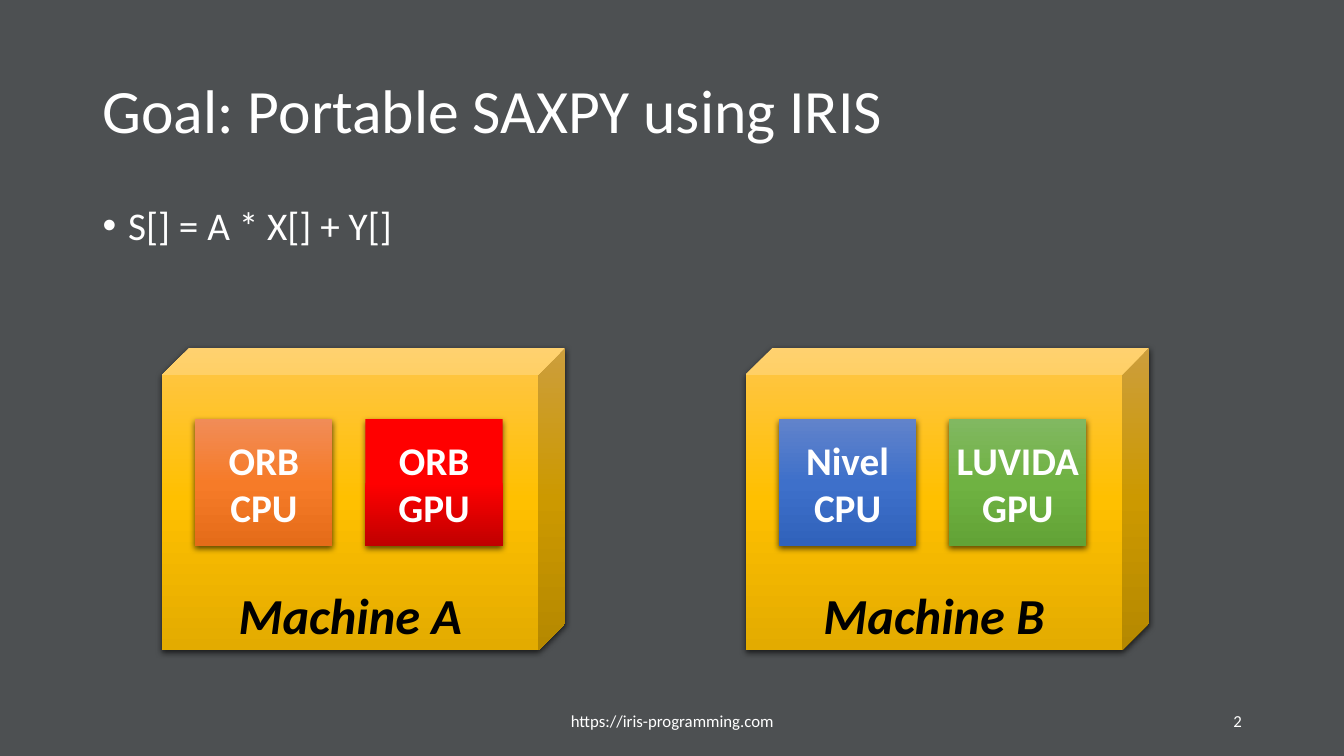
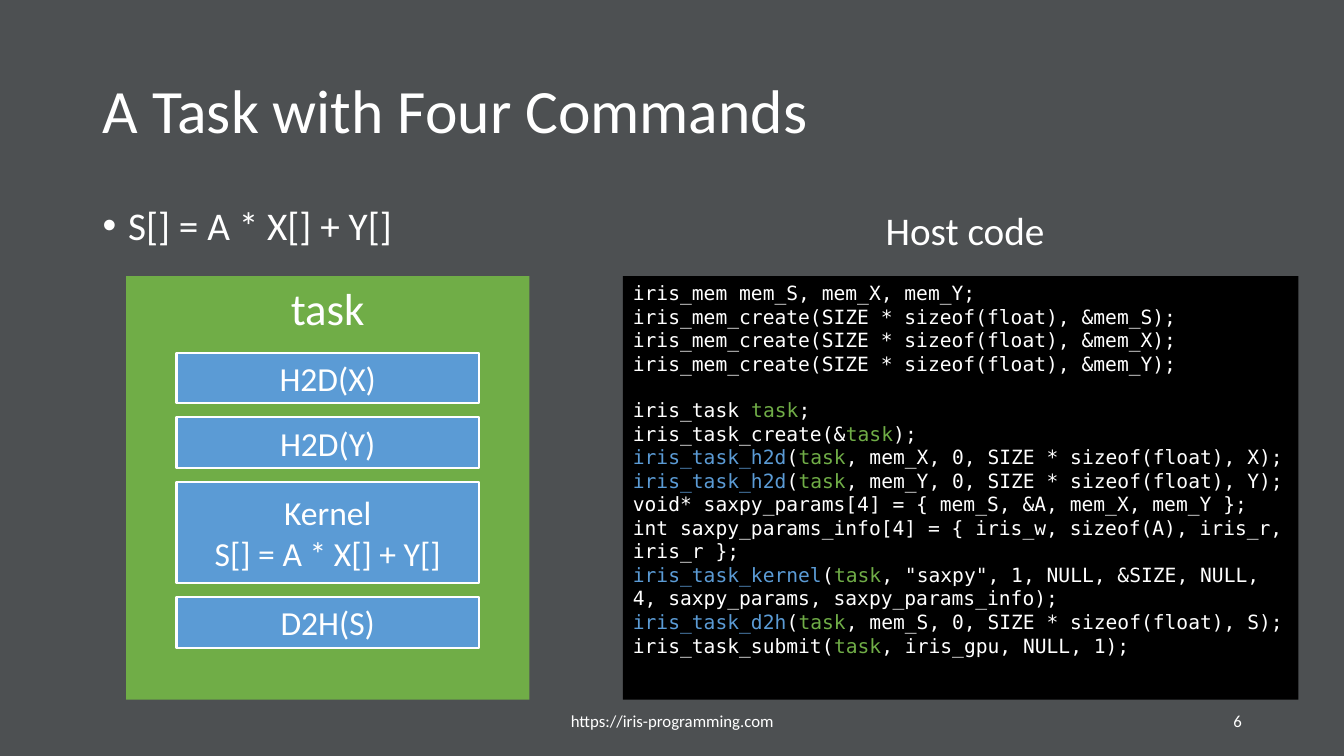
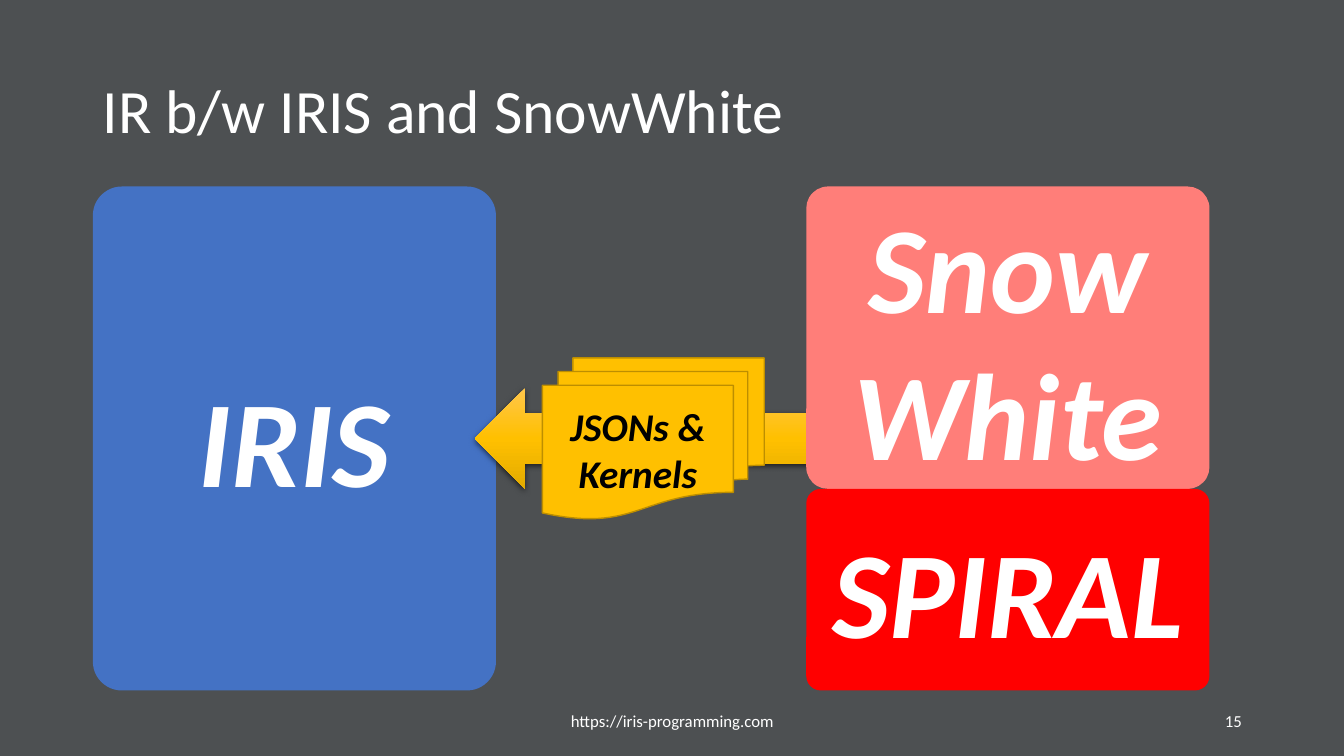
from copy import deepcopy

from lxml import etree
from pptx import Presentation
from pptx import util as u
from pptx.dml.color import RGBColor
from pptx.enum import shapes, text
from pptx.oxml import ns

Cm, Pt = u.Cm, u.Pt
MSO, ALIGN, ANCHOR = shapes.MSO_SHAPE, text.PP_ALIGN, text.MSO_ANCHOR

SLATE = RGBColor(0x4D, 0x50, 0x52)
WHITE = RGBColor(0xFF, 0xFF, 0xFF)
BLACK = RGBColor(0x00, 0x00, 0x00)
GREEN = RGBColor(0x70, 0xAD, 0x47)
SKY = RGBColor(0x5B, 0x9B, 0xD5)
BLUE = RGBColor(0x44, 0x72, 0xC4)
SALMON = RGBColor(0xFF, 0x7E, 0x79)
RED = RGBColor(0xFF, 0x00, 0x00)
GOLD = RGBColor(0xFF, 0xC0, 0x00)
DARK_GOLD = RGBColor(0xBD, 0x8E, 0x00)
GOLD_FADE = (RGBColor(0xFF, 0xC6, 0x4B), GOLD, RGBColor(0xE3, 0xAB, 0x00))
ORANGE_FADE = (RGBColor(0xF1, 0x8C, 0x57), RGBColor(0xF6, 0x7B, 0x28), RGBColor(0xE5, 0x6C, 0x19))
RED_FADE = (RED, RED, RGBColor(0xC0, 0x00, 0x00))
BLUE_FADE = (RGBColor(0x61, 0x83, 0xCB), RGBColor(0x3E, 0x70, 0xCA), RGBColor(0x30, 0x62, 0xBB))
GREEN_FADE = (RGBColor(0x81, 0xB8, 0x61), RGBColor(0x6F, 0xB2, 0x42), RGBColor(0x62, 0xA3, 0x36))

SANS, MONO = "Calibri", "DejaVu Sans Mono"
FOOTER = "https://iris-programming.com"
FORMULA = "S[] = A * X[] + Y[]"

MACHINES = [
    ("Machine A", 4.09, [("ORB\nCPU", ORANGE_FADE), ("ORB\nGPU", RED_FADE)]),
    ("Machine B", 18.8, [("Nivel\nCPU", BLUE_FADE), ("LUVIDA\nGPU", GREEN_FADE)]),
]

COMMANDS = [("H2D(X)", 1.27), ("H2D(Y)", 1.27), ("Kernel\n" + FORMULA, 2.54), ("D2H(S)", 1.27)]

CODE = [
    [
        "iris_mem mem_S, mem_X, mem_Y;",
        "iris_mem_create(SIZE * sizeof(float), &mem_S);",
        "iris_mem_create(SIZE * sizeof(float), &mem_X);",
        "iris_mem_create(SIZE * sizeof(float), &mem_Y);",
    ],
    [
        "iris_task |task|;",
        "iris_task_create(&|task|);",
        "iris_task_h2d|(|task|, mem_X, 0, SIZE * sizeof(float), X);",
        "iris_task_h2d|(|task|, mem_Y, 0, SIZE * sizeof(float), Y);",
        "void* saxpy_params[4] = { mem_S, &A, mem_X, mem_Y };",
        "int saxpy_params_info[4] = { iris_w, sizeof(A), iris_r, iris_r };",
        'iris_task_kernel|(|task|, "saxpy", 1, NULL, &SIZE, NULL, 4, saxpy_params, saxpy_params_info);',
        "iris_task_d2h|(|task|, mem_S, 0, SIZE * sizeof(float), S);",
        "iris_task_submit(|task|, iris_gpu, NULL, 1);",
    ],
]
CODE_COLORS = {"task": GREEN, "iris_task_h2d": SKY, "iris_task_kernel": SKY, "iris_task_d2h": SKY}

BLOCKS = [("Snow\nWhite", 4.7, 7.62, SALMON), ("SPIRAL", 12.32, 5.08, RED)]


def style(r, size, color=WHITE, bold=False, italic=False, font=SANS):
    r.font.name, r.font.size, r.font.color.rgb = font, Pt(size), color
    r.font.bold, r.font.italic = bold, italic


def write(sp, words, size, color=WHITE, bold=False, italic=False,
          align=ALIGN.CENTER, anchor=ANCHOR.MIDDLE):
    tf = sp.text_frame
    tf.word_wrap, tf.vertical_anchor = True, anchor
    tf.text = words
    for p in tf.paragraphs:
        p.alignment = align
        for r in p.runs:
            style(r, size, color, bold, italic)
    return tf


def add_label(s, box, words, size, **look):
    return write(s.shapes.add_textbox(*map(Cm, box)), words, size, **look)


def add_block(s, kind, box, fill, line=None, width=1):
    sp = s.shapes.add_shape(kind, *map(Cm, box))
    sp.shadow.inherit = False
    sp.fill.solid()
    sp.fill.fore_color.rgb = fill
    if line is None:
        sp.line.fill.background()
    else:
        sp.line.color.rgb, sp.line.width = line, Pt(width)
    return sp


def add_raised(s, kind, box, fade):
    sp = add_block(s, kind, box, fade[1])
    sp.fill.gradient()
    sp.fill.gradient_angle = 270
    stops = sp._element.spPr.find(".//" + ns.qn("a:gsLst"))
    stops.append(deepcopy(stops[-1]))
    for stop, position, color in zip(sp.fill.gradient_stops, (0, 0.5, 1), fade):
        stop.position, stop.color.rgb = position, color
    effects = sp._element.spPr.find(ns.qn("a:effectLst"))
    shadow = etree.SubElement(effects, ns.qn("a:outerShdw"), blurRad=str(Pt(4.5)),
                              dist=str(Pt(1.5)), dir="5400000", algn="ctr", rotWithShape="0")
    black = etree.SubElement(shadow, ns.qn("a:srgbClr"), val="000000")
    etree.SubElement(black, ns.qn("a:alpha"), val="63000")
    return sp


def add_slide(title, number):
    s = prs.slides.add_slide(prs.slide_layouts[6])
    s.background.fill.solid()
    s.background.fill.fore_color.rgb = SLATE
    tf = add_label(s, (2.34, 1.02, 29.21, 3.68), title, 44, align=ALIGN.LEFT)
    tf.paragraphs[0].line_spacing = 0.9
    add_label(s, (11.23, 17.65, 11.43, 1.02), FOOTER, 12)
    add_label(s, (23.93, 17.65, 7.62, 1.02), str(number), 12, align=ALIGN.RIGHT)
    return s


def add_bullet(s, words):
    tf = add_label(s, (2.34, 5.08, 29.21, 12.09), words, 28, align=ALIGN.LEFT, anchor=ANCHOR.TOP)
    p = tf.paragraphs[0]
    p.line_spacing, p.space_before = 0.9, Pt(10)
    pPr = p._p.get_or_add_pPr()
    pPr.set("marL", str(Cm(0.64)))
    pPr.set("indent", str(-Cm(0.64)))
    etree.SubElement(pPr, ns.qn("a:buFont"), typeface="Arial")
    etree.SubElement(pPr, ns.qn("a:buChar"), char="•")


def add_code(sp, groups):
    tf = sp.text_frame
    tf.word_wrap, tf.vertical_anchor = True, ANCHOR.TOP
    p = tf.paragraphs[0]
    for g, lines in enumerate(groups):
        for i, line in enumerate(lines):
            if g or i:
                p = tf.add_paragraph()
            p.alignment = ALIGN.LEFT
            if g and i == 0:
                p.space_before = Pt(16.3)
            for token in line.split("|"):
                r = p.add_run()
                r.text = token
                style(r, 14, CODE_COLORS.get(token, WHITE), font=MONO)


prs = Presentation()
prs.slide_width, prs.slide_height = Cm(33.87), Cm(19.05)

s = add_slide("Goal: Portable SAXPY using IRIS", 2)
add_bullet(s, FORMULA)
for name, left, chips in MACHINES:
    cube = add_raised(s, MSO.CUBE, (left, 8.76, 10.16, 7.62), GOLD_FADE)
    cube.adjustments[0] = 0.089
    write(cube, name, 36, BLACK, True, True, anchor=ANCHOR.BOTTOM)
    for i, (words, fade) in enumerate(chips):
        chip = add_raised(s, MSO.RECTANGLE, (left + 0.83 + i * 4.29, 10.57, 3.46, 3.2), fade)
        tf = write(chip, words, 28, bold=True)
        tf.margin_left = tf.margin_right = 0

s = add_slide("A Task with Four Commands", 6)
add_bullet(s, FORMULA)
task = add_block(s, MSO.RECTANGLE, (3.18, 6.96, 10.16, 10.67), GREEN)
write(task, "task", 32, anchor=ANCHOR.TOP)
top = 8.89
for words, height in COMMANDS:
    command = add_block(s, MSO.RECTANGLE, (4.45, top, 7.62, height), SKY, WHITE, 1.5)
    write(command, words, 24)
    top += height + 0.36
tf = add_label(s, (22.07, 5.08, 4.57, 1.45), "Host code", 28, align=ALIGN.LEFT, anchor=ANCHOR.TOP)
tf.word_wrap = False
add_code(add_block(s, MSO.RECTANGLE, (15.7, 6.96, 17.02, 10.67), BLACK), CODE)

s = add_slide("IR b/w IRIS and SnowWhite", 15)
iris = add_block(s, MSO.ROUNDED_RECTANGLE, (2.34, 4.7, 10.16, 12.7), BLUE)
iris.adjustments[0] = 0.072
write(iris, "IRIS", 88, bold=True, italic=True)
add_raised(s, MSO.LEFT_ARROW, (11.96, 9.78, 8.89, 2.54), GOLD_FADE)
for words, top, height, fill in BLOCKS:
    block = add_block(s, MSO.ROUNDED_RECTANGLE, (20.32, top, 10.16, height), fill)
    block.adjustments[0] = 0.072
    tf = write(block, words, 88, bold=True, italic=True)
    tf.margin_left = tf.margin_right = tf.margin_top = tf.margin_bottom = 0
documents = add_block(s, MSO.FLOWCHART_MULTIDOCUMENT, (13.67, 9.02, 5.59, 4.06), GOLD, DARK_GOLD)
write(documents, "JSONs & Kernels", 28, BLACK, True, True)

prs.save("out.pptx")
